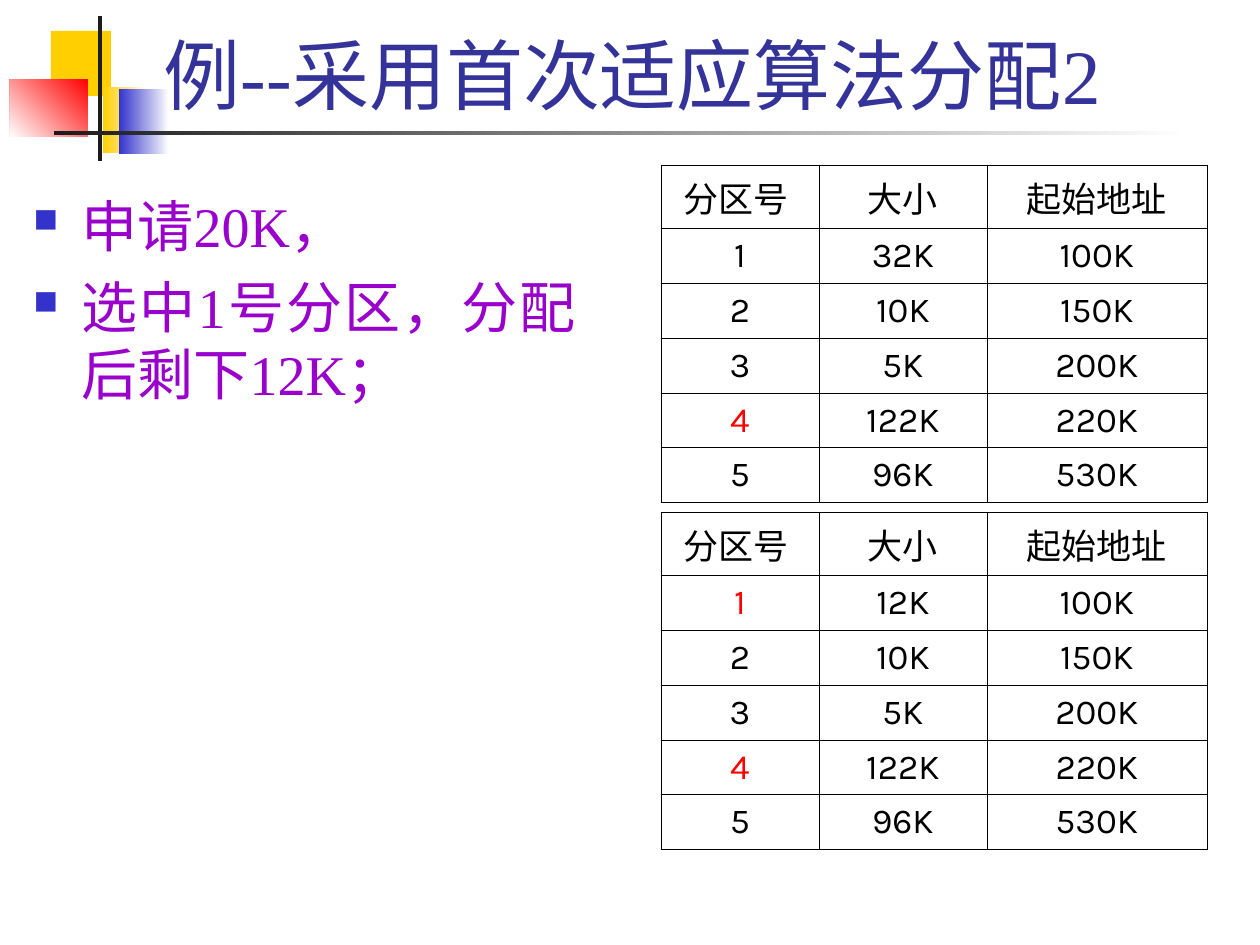
from dataclasses import dataclass

from lxml import etree
from pptx import Presentation
from pptx.dml.color import RGBColor
from pptx.enum.shapes import MSO_SHAPE
from pptx.enum.text import MSO_ANCHOR, PP_ALIGN
from pptx.oxml.ns import qn
from pptx.util import Emu, Pt

RECTANGLE = MSO_SHAPE.RECTANGLE
LEFT, CENTER, JUSTIFY = PP_ALIGN.LEFT, PP_ALIGN.CENTER, PP_ALIGN.JUSTIFY
TOP, MIDDLE, BOTTOM = MSO_ANCHOR.TOP, MSO_ANCHOR.MIDDLE, MSO_ANCHOR.BOTTOM
TITLE_ONLY = 5
PX_PER_INCH = 126


@dataclass(frozen=True)
class Theme:
    white: str = "FFFFFF"
    black: str = "000000"
    ink: str = "1C1C1C"
    yellow: str = "FFCF01"
    blue: str = "3333CC"
    red: str = "FF0000"
    title: str = "333399"
    body: str = "9900CC"
    serif: str = "Times New Roman"
    sans: str = "Karla"
    title_size: int = 44
    body_size: int = 32
    cell_size: int = 20
    border_width: float = 0.45


@dataclass(frozen=True)
class Ornament:
    x: int
    y: int
    width: int
    height: int
    start: str
    end: str = ""
    angle: int = 180


@dataclass(frozen=True)
class PartitionTable:
    y: int
    sizes: tuple[str, ...]
    red_rows: tuple[int, ...]


THEME = Theme()
ORNAMENTS = (
    Ornament(51, 31, 60, 65, THEME.yellow),
    Ornament(103, 87, 45, 66, THEME.white, THEME.yellow),
    Ornament(119, 89, 50, 65, THEME.white, THEME.blue),
    Ornament(10, 79, 78, 58, THEME.red, THEME.white, 225),
    Ornament(98, 16, 4, 145, THEME.ink),
    Ornament(54, 131, 1134, 4, THEME.white, THEME.ink),
)
TABLE_X = 661
COLUMN_WIDTHS = (158, 168, 220)
HEADER_HEIGHT, ROW_HEIGHT = 63, 55
HEADINGS = ("分区号 ", "大小", "起始地址")
ADDRESSES = ("100K", "150K", "200K", "220K", "530K")
TABLES = (
    PartitionTable(165, ("32K", "10K", "5K", "122K", "96K"), (4,)),
    PartitionTable(512, ("12K", "10K", "5K", "122K", "96K"), (1, 4)),
)
BULLETS = ("申请20K，", "选中1号分区，分配后剩下12K；")


def px(length: int) -> Emu:
    return Emu(round(length * 914400 / PX_PER_INCH))


def color(value: str) -> RGBColor:
    return RGBColor.from_string(value)


def write(para, text: str, *, size: int, fill: str, font: str, align=LEFT) -> None:
    para.alignment = align
    span = para.add_run()
    span.text = text
    span.font.size = Pt(size)
    span.font.name = font
    span.font.color.rgb = color(fill)


def draw_ornament(page, item: Ornament) -> None:
    shape = page.shapes.add_shape(
        RECTANGLE, px(item.x), px(item.y), px(item.width), px(item.height)
    )
    shape.shadow.inherit = False
    shape.line.fill.background()
    if item.end:
        shape.fill.gradient()
        shape.fill.gradient_angle = item.angle
        for stop, value in zip(shape.fill.gradient_stops, (item.start, item.end)):
            stop.color.rgb = color(value)
    else:
        shape.fill.solid()
        shape.fill.fore_color.rgb = color(item.start)


def draw_title(page, text: str) -> None:
    title = page.shapes.title
    title.left, title.top, title.width, title.height = px(151), px(21), px(1074), px(105)
    title.text_frame.word_wrap = True
    title.text_frame.vertical_anchor = BOTTOM
    write(title.text_frame.paragraphs[0], text, size=THEME.title_size,
          fill=THEME.title, font=THEME.serif)
    title.element.getparent().append(title.element)


def add_bullet(para) -> None:
    properties = para._p.get_or_add_pPr()
    indent = px(48)
    properties.set("marL", str(indent))
    properties.set("indent", str(-indent))
    tint = etree.SubElement(properties, qn("a:buClr"))
    etree.SubElement(tint, qn("a:srgbClr"), val=THEME.blue)
    etree.SubElement(properties, qn("a:buSzPct"), val="60000")
    etree.SubElement(properties, qn("a:buChar"), char="■")


def draw_bullets(page, lines: tuple[str, ...]) -> None:
    box = page.shapes.add_textbox(px(21), px(185), px(567), px(625))
    frame = box.text_frame
    frame.word_wrap = True
    frame.vertical_anchor = TOP
    for index, line in enumerate(lines):
        para = frame.add_paragraph() if index else frame.paragraphs[0]
        add_bullet(para)
        if index:
            para.space_before = Pt(8)
        write(para, line, size=THEME.body_size, fill=THEME.body,
              font=THEME.serif, align=JUSTIFY)


def add_borders(cell) -> None:
    properties = cell._tc.get_or_add_tcPr()
    for position, side in enumerate(("a:lnL", "a:lnR", "a:lnT", "a:lnB")):
        line = etree.Element(qn(side), w=str(Pt(THEME.border_width)))
        fill = etree.SubElement(line, qn("a:solidFill"))
        etree.SubElement(fill, qn("a:srgbClr"), val=THEME.black)
        properties.insert(position, line)


def draw_table(page, item: PartitionTable) -> None:
    numbers = range(1, len(item.sizes) + 1)
    rows = [HEADINGS, *zip(map(str, numbers), item.sizes, ADDRESSES)]
    heights = [HEADER_HEIGHT] + [ROW_HEIGHT] * len(item.sizes)
    table = page.shapes.add_table(
        len(rows), len(HEADINGS), px(TABLE_X), px(item.y),
        px(sum(COLUMN_WIDTHS)), px(sum(heights))
    ).table
    table.first_row = table.horz_banding = False
    for column, width in zip(table.columns, COLUMN_WIDTHS):
        column.width = px(width)
    for row_index, (values, height) in enumerate(zip(rows, heights)):
        table.rows[row_index].height = px(height)
        for column_index, text in enumerate(values):
            cell = table.cell(row_index, column_index)
            cell.vertical_anchor = MIDDLE
            cell.fill.background()
            add_borders(cell)
            is_red = column_index == 0 and row_index in item.red_rows
            is_corner = column_index == 0 and row_index == 0
            write(cell.text_frame.paragraphs[0], text, size=THEME.cell_size,
                  fill=THEME.red if is_red else THEME.black,
                  font=THEME.serif if is_corner else THEME.sans, align=CENTER)


def main() -> None:
    deck = Presentation()
    deck.slide_width, deck.slide_height = px(1260), px(945)
    page = deck.slides.add_slide(deck.slide_layouts[TITLE_ONLY])
    for ornament in ORNAMENTS:
        draw_ornament(page, ornament)
    draw_title(page, "例--采用首次适应算法分配2")
    draw_bullets(page, BULLETS)
    for table in TABLES:
        draw_table(page, table)
    deck.save("out.pptx")


if __name__ == "__main__":
    main()
